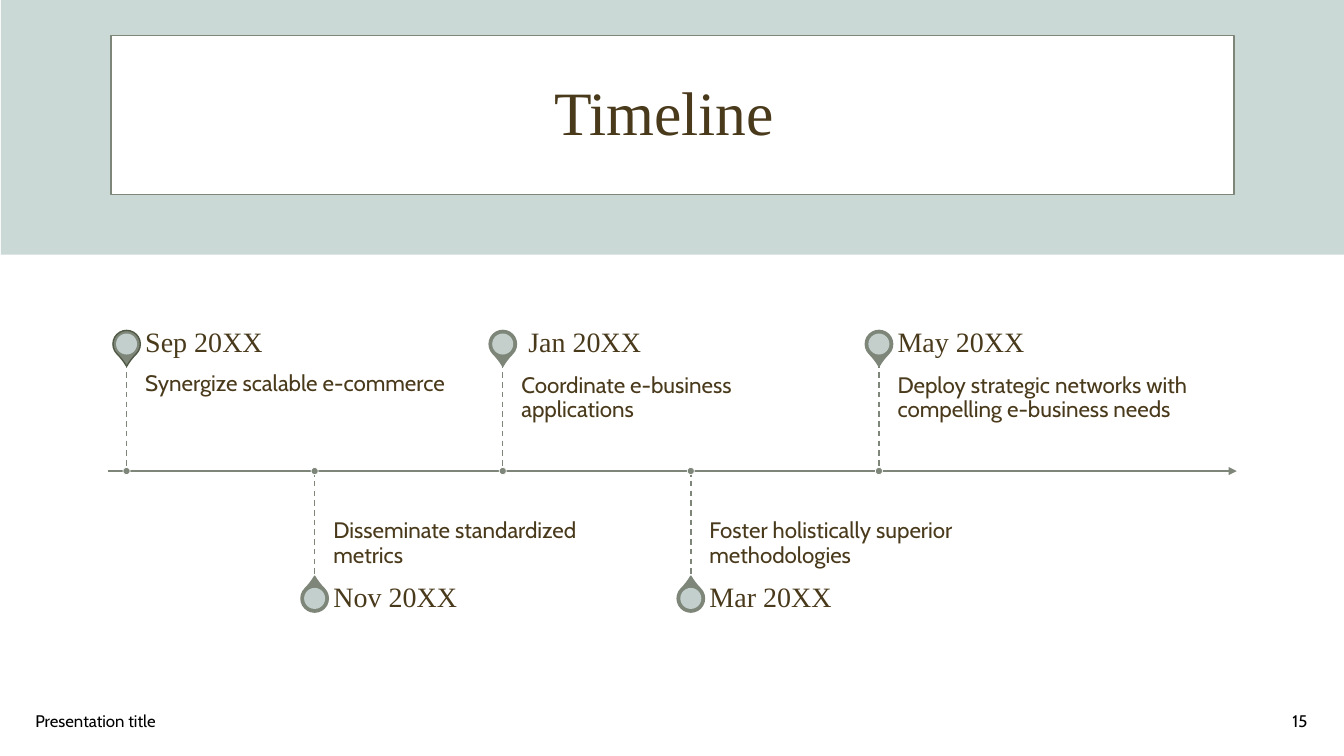
from lxml.etree import SubElement
from pptx import Presentation
from pptx.dml.color import RGBColor
from pptx.enum.dml import MSO_LINE
from pptx.enum.shapes import MSO_CONNECTOR, MSO_SHAPE
from pptx.enum.text import MSO_ANCHOR as Anchor, PP_ALIGN as Align
from pptx.oxml.ns import qn
from pptx.util import Cm, Pt

WHITE = RGBColor(0xFF, 0xFF, 0xFF)
BLACK = RGBColor(0x00, 0x00, 0x00)
BROWN = RGBColor(0x4A, 0x3A, 0x1C)
SAGE = RGBColor(0x7E, 0x86, 0x79)
DARK_SAGE = RGBColor(0x4F, 0x59, 0x45)
MIST = RGBColor(0xCA, 0xD8, 0xD6)
PALE_MIST = RGBColor(0xCC, 0xD8, 0xD6)
SERIF = "Times New Roman"
SANS = "Cabin"

presentation = Presentation()
presentation.slide_width = Cm(33.87)
presentation.slide_height = Cm(19.05)
slide = presentation.slides.add_slide(presentation.slide_layouts[6])


def add_shape(kind, left, top, width, height, fill, line=None, line_width=1):
    shape = slide.shapes.add_shape(kind, Cm(left), Cm(top), Cm(width), Cm(height))
    shape.shadow.inherit = False
    shape.fill.solid()
    shape.fill.fore_color.rgb = fill
    if line is None:
        shape.line.fill.background()
    else:
        shape.line.color.rgb = line
        shape.line.width = Pt(line_width)
    return shape


def add_text(text, left, top, width, height, size=12, font=SANS, color=BROWN,
             align=Align.LEFT, anchor=Anchor.MIDDLE, spacing=0.9,
             insets=(0.25, 0.13, 0.25, 0.13)):
    box = slide.shapes.add_textbox(Cm(left), Cm(top), Cm(width), Cm(height))
    frame = box.text_frame
    frame.word_wrap = True
    frame.vertical_anchor = anchor
    frame.margin_left, frame.margin_top, frame.margin_right, frame.margin_bottom = map(Cm, insets)
    paragraph = frame.paragraphs[0]
    paragraph.alignment = align
    paragraph.line_spacing = spacing
    run = paragraph.add_run()
    run.text = text
    run.font.size = Pt(size)
    run.font.name = font
    run.font.color.rgb = color


add_shape(MSO_SHAPE.RECTANGLE, 0.02, 0, 33.85, 6.42, MIST)
add_shape(MSO_SHAPE.RECTANGLE, 2.8, 0.9, 28.3, 4, WHITE, line=SAGE)
add_text("Timeline ", 1.06, 1.06, 31.75, 3.69, size=44, font=SERIF, align=Align.CENTER)
add_text("Presentation title", 0.64, 17.65, 11.43, 1.02, color=BLACK, spacing=1)
add_text("15", 25.58, 17.65, 7.62, 1.02, color=BLACK, align=Align.RIGHT, spacing=1)

events = [
    ("Sep 20XX", "Synergize scalable e-commerce", DARK_SAGE, MIST),
    ("Nov 20XX", "Disseminate standardized metrics", SAGE, MIST),
    (" Jan 20XX", "Coordinate e-business applications", SAGE, PALE_MIST),
    ("Mar 20XX", "Foster holistically superior methodologies", SAGE, MIST),
    ("May 20XX", "Deploy strategic networks with compelling e-business needs", SAGE, PALE_MIST),
]
AXIS_Y = 11.87
FIRST_X = 3.19
STEP = 4.74
PIN, DISC, DOT = 0.69, 0.53, 0.18
TEXT_GAP, TEXT_WIDTH, BODY_HEIGHT, DATE_HEIGHT = 0.47, 7.87, 2.72, 0.97

lines = [(2.71, AXIS_Y, 31.17, AXIS_Y, 1.5)]
for index in range(len(events)):
    x = FIRST_X + index * STEP
    stem_start, stem_end = (AXIS_Y, 14.6) if index % 2 else (9.14, AXIS_Y)
    lines.append((x, stem_start, x, stem_end, 1))

for x1, y1, x2, y2, width in lines:
    line = slide.shapes.add_connector(MSO_CONNECTOR.STRAIGHT, Cm(x1), Cm(y1), Cm(x2), Cm(y2))
    line.line.color.rgb = SAGE
    line.line.width = Pt(width)
    if x1 == x2:
        line.line.dash_style = MSO_LINE.DASH
    else:
        SubElement(line.line._get_or_add_ln(), qn("a:tailEnd"), type="triangle")
    SubElement(line._element.spPr, qn("a:effectLst"))

for index, (date, description, pin_line, disc_fill) in enumerate(events):
    below = index % 2 == 1
    x = FIRST_X + index * STEP
    pin_y = 15.08 if below else 8.67
    text_left = x + TEXT_GAP

    pin = add_shape(MSO_SHAPE.TEAR, x - PIN / 2, pin_y - PIN / 2, PIN, PIN, SAGE, line=pin_line)
    pin.adjustments[0] = 1.15
    pin.rotation = 315 if below else 135
    disc = add_shape(MSO_SHAPE.OVAL, x - DISC / 2, pin_y - DISC / 2, DISC, DISC, disc_fill)
    disc_color = disc._element.spPr.find(qn("a:solidFill"))[0]
    SubElement(disc_color, qn("a:alpha"), val="90000")
    add_shape(MSO_SHAPE.OVAL, x - DOT / 2, AXIS_Y - DOT / 2, DOT, DOT, SAGE,
              line=WHITE, line_width=0.5)

    add_text(description, text_left, AXIS_Y if below else 9.14, TEXT_WIDTH, BODY_HEIGHT, size=16,
             anchor=Anchor.BOTTOM if below else Anchor.TOP,
             insets=(0, 0.43, 0, 0.28) if below else (0, 0.28, 0.28, 0.43))
    add_text(date, text_left, 14.6 if below else 8.18, TEXT_WIDTH, DATE_HEIGHT, size=20,
             font=SERIF, insets=(0, 0, 0.36, 0))

presentation.save("out.pptx")
